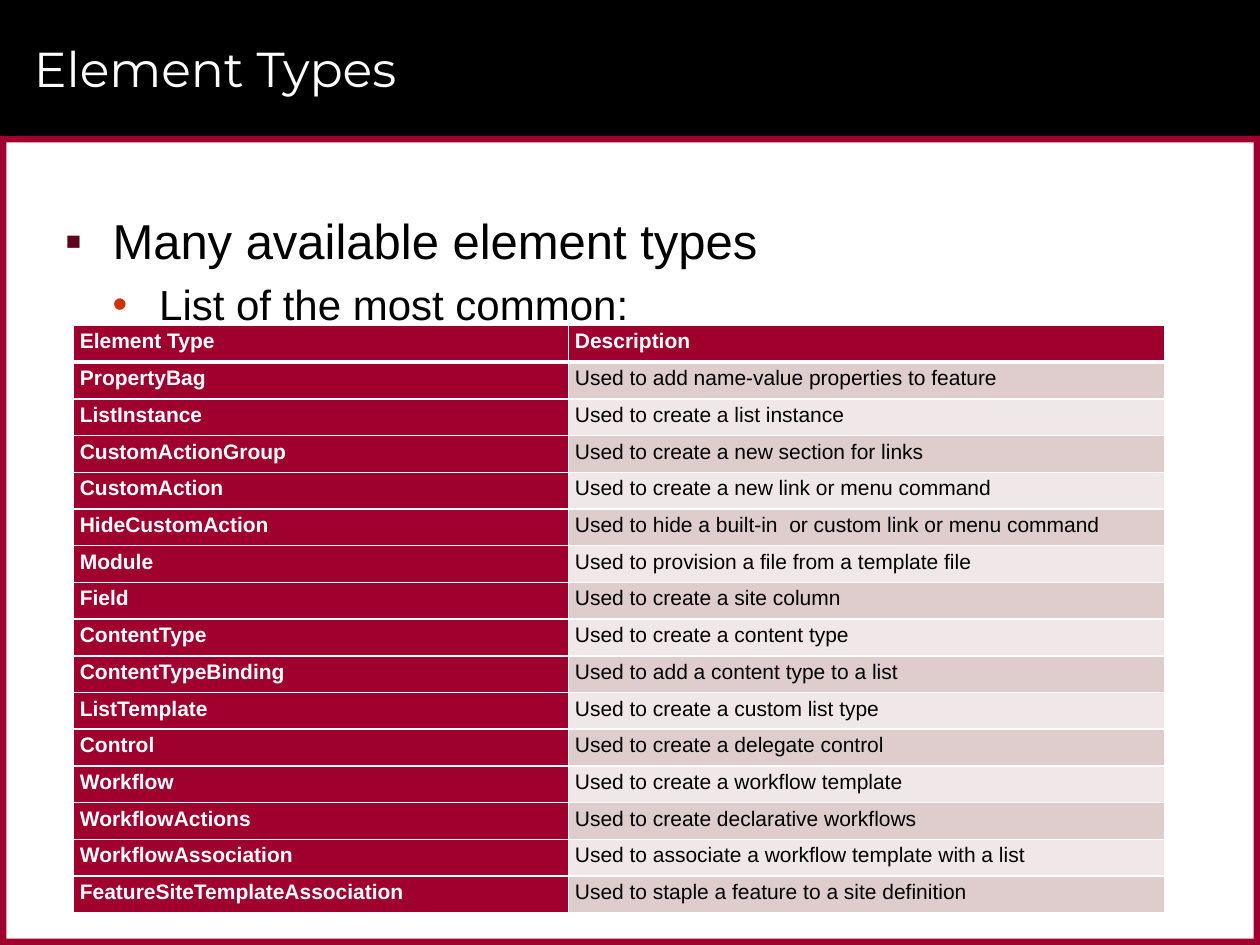
from lxml import etree
from pptx import Presentation
from pptx import util as u
from pptx.dml.color import RGBColor
from pptx.enum import shapes, text
from pptx.oxml import ns

BLACK = RGBColor(0x00, 0x00, 0x00)
WHITE = RGBColor(0xFF, 0xFF, 0xFF)
RED = RGBColor(0x9F, 0x00, 0x2D)
WINE = RGBColor(0x60, 0x00, 0x1B)
RUST = RGBColor(0xCC, 0x33, 0x00)
ROSE = RGBColor(0xDF, 0xCC, 0xCD)
PALE = RGBColor(0xF0, 0xE7, 0xE8)

WIDE, HIGH = 25.4, 19.05
HEAD, EDGE = 2.74, 0.13
ROW, COLS = 0.74, (9.98, 12.02)

BARS = [
    (0, 0, WIDE, HEAD, BLACK),
    (0, HEAD, WIDE, EDGE, RED),
    (0, HIGH - EDGE, WIDE, EDGE, RED),
    (WIDE - EDGE, HEAD, EDGE, HIGH - HEAD, RED),
    (0, HEAD, EDGE, HIGH - HEAD, RED),
]

TYPES = [
    ("Element Type", "Description"),
    ("PropertyBag", "Used to add name-value properties to feature"),
    ("ListInstance", "Used to create a list instance"),
    ("CustomActionGroup", "Used to create a new section for links"),
    ("CustomAction", "Used to create a new link or menu command"),
    ("HideCustomAction", "Used to hide a built-in  or custom link or menu command"),
    ("Module", "Used to provision a file from a template file"),
    ("Field", "Used to create a site column"),
    ("ContentType", "Used to create a content type"),
    ("ContentTypeBinding", "Used to add a content type to a list"),
    ("ListTemplate", "Used to create a custom list type"),
    ("Control", "Used to create a delegate control"),
    ("Workflow", "Used to create a workflow template"),
    ("WorkflowActions", "Used to create declarative workflows"),
    ("WorkflowAssociation", "Used to associate a workflow template with a list"),
    ("FeatureSiteTemplateAssociation", "Used to staple a feature to a site definition"),
]


def add_run(para, words, size, color, face="Arial", bold=False):
    """Add one formatted run to a paragraph."""
    run = para.add_run()
    run.text = words
    font = run.font
    font.name, font.size, font.bold = face, u.Pt(size), bold
    font.color.rgb = color


def add_bar(slide, left, top, width, height, color):
    """Draw a plain filled bar."""
    bar = slide.shapes.add_shape(
        shapes.MSO_SHAPE.RECTANGLE,
        u.Cm(left), u.Cm(top), u.Cm(width), u.Cm(height))
    bar.shadow.inherit = False
    bar.fill.solid()
    bar.fill.fore_color.rgb = color
    bar.line.fill.background()


def set_title(slide, words):
    """Place the title on top of the header bar."""
    title = slide.shapes.title
    title.left, title.top = u.Cm(0.43), u.Cm(0.2)
    title.width, title.height = u.Cm(23.3), u.Cm(2.34)
    frame = title.text_frame
    frame.vertical_anchor = text.MSO_ANCHOR.MIDDLE
    para = frame.paragraphs[0]
    para.alignment = text.PP_ALIGN.LEFT
    add_run(para, words, 28, WHITE, "Montserrat")
    slide.shapes.element.append(title.element)


def set_bullet(para, mark, color, left, hang):
    """Give a paragraph a coloured bullet and a hanging indent."""
    props = para._p.get_or_add_pPr()
    props.set("marL", str(u.Cm(left)))
    props.set("indent", str(-u.Cm(hang)))
    tint = etree.SubElement(props, ns.qn("a:buClr"))
    etree.SubElement(tint, ns.qn("a:srgbClr"), val=str(color))
    etree.SubElement(props, ns.qn("a:buFont"), typeface="Arial")
    etree.SubElement(props, ns.qn("a:buChar"), char=mark)


def add_points(slide):
    """Add the two bulleted lines above the table."""
    box = slide.shapes.add_textbox(u.Cm(1.06), u.Cm(4.02), u.Cm(23.28), u.Cm(14.4))
    frame = box.text_frame
    frame.word_wrap = True
    frame.margin_top = u.Cm(0.23)
    first = frame.paragraphs[0]
    set_bullet(first, "▪", WINE, 0.96, 0.96)
    first.space_after = u.Pt(2)
    add_run(first, "Many available element types", 28, BLACK)
    second = frame.add_paragraph()
    second.level = 1
    set_bullet(second, "•", RUST, 1.9, 0.94)
    second.space_before = second.space_after = u.Pt(3)
    add_run(second, "List of the most common:", 24, BLACK)


def set_edges(cell, top, base):
    """Draw white borders round a cell."""
    props = cell._tc.get_or_add_tcPr()
    for side, width in (("L", 1), ("R", 1), ("T", top), ("B", base)):
        line = etree.SubElement(props, ns.qn(f"a:ln{side}"), w=str(u.Pt(width)))
        fill = etree.SubElement(line, ns.qn("a:solidFill"))
        etree.SubElement(fill, ns.qn("a:srgbClr"), val=str(WHITE))


def fill_cell(cell, words, row, col):
    """Write and style one table cell by its row and column."""
    strong = row == 0 or col == 0
    set_edges(cell, 3 if row == 1 else 1, 3 if row == 0 else 1)
    cell.fill.solid()
    cell.fill.fore_color.rgb = RED if strong else ROSE if row % 2 else PALE
    cell.vertical_anchor = text.MSO_ANCHOR.MIDDLE
    cell.margin_left = cell.margin_right = u.Cm(0.13)
    cell.margin_top = cell.margin_bottom = u.Cm(0.13)
    para = cell.text_frame.paragraphs[0]
    para.line_spacing, para.space_after = u.Pt(11), u.Pt(2)
    add_run(para, words, 12, WHITE if strong else BLACK, bold=strong)


def add_grid(slide):
    """Add the table of element types."""
    grid = slide.shapes.add_table(
        len(TYPES), len(COLS), u.Cm(1.48), u.Cm(6.56),
        u.Cm(sum(COLS)), u.Cm(ROW * len(TYPES))).table
    grid.first_col = True
    for col, width in enumerate(COLS):
        grid.columns[col].width = u.Cm(width)
    for row, pair in enumerate(TYPES):
        grid.rows[row].height = u.Cm(ROW)
        for col, words in enumerate(pair):
            fill_cell(grid.cell(row, col), words, row, col)


def main():
    """Build the slide and save it."""
    deck = Presentation()
    deck.slide_width, deck.slide_height = u.Cm(WIDE), u.Cm(HIGH)
    slide = deck.slides.add_slide(deck.slide_layouts[5])
    for bar in BARS:
        add_bar(slide, *bar)
    set_title(slide, "Element Types")
    add_points(slide)
    add_grid(slide)
    deck.save("out.pptx")


if __name__ == "__main__":
    main()
